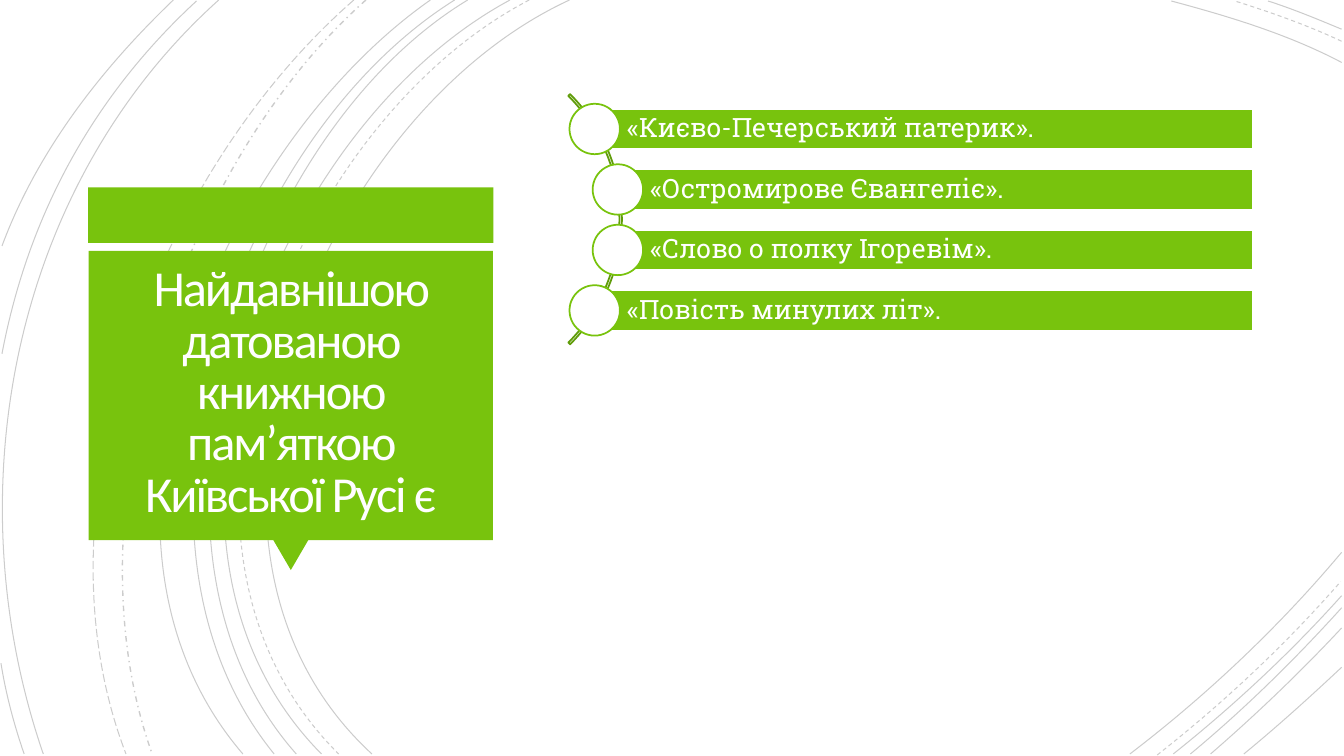
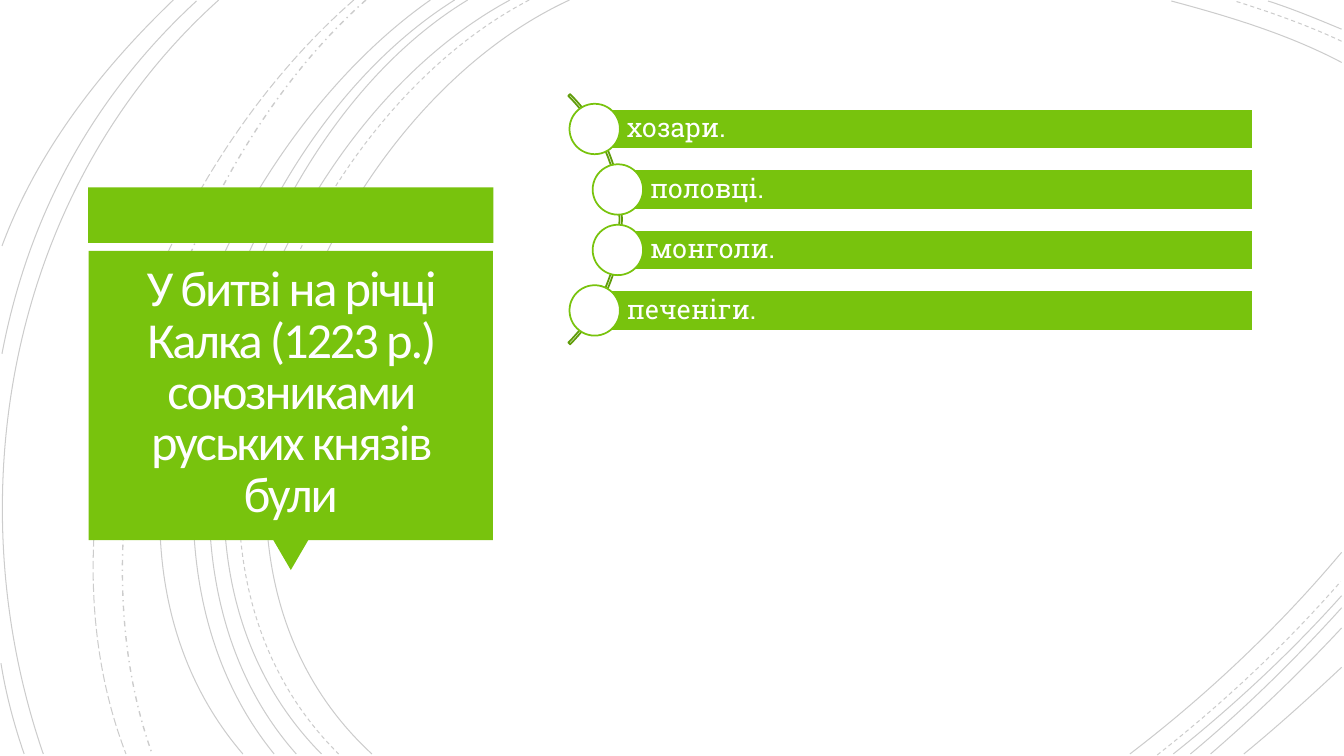
import dataclasses
import typing

import lxml.etree
import pptx
import pptx.dml.color
import pptx.enum.dml
import pptx.enum.shapes
import pptx.enum.text
import pptx.oxml.ns
import pptx.shapes.autoshape
import pptx.slide
import pptx.util

# The grid has square cells, 75 rows to the slide's height.
COLUMNS, ROWS = 133.33, 75
CELL = pptx.util.Inches(0.1)

COLORS = {
    "accent": "78C30D",
    "arc": "609C0A",
    "white": "FFFFFF",
    "title": "FFFEFF",
    "curve": "000000",
}
CURVE_OPACITY = 20
OUTLINE = 1.25

ANSWER_TOP, ANSWER_PITCH, ANSWER_HEIGHT = 10.8, 6, 4
ANSWER_RIGHT = 124.3
ANSWER_LEFTS = (59, 61.3, 61.3, 59)
MARKER_SIZE = 5

SHAPES = pptx.enum.shapes.MSO_SHAPE
DASHES = pptx.enum.dml.MSO_LINE
ALIGNMENTS = pptx.enum.text.PP_ALIGN


class Point(typing.NamedTuple):
    column: float
    row: float


class Area(typing.NamedTuple):
    column: float
    row: float
    columns: float
    rows: float


@dataclasses.dataclass(frozen=True)
class Curve:
    start: Point
    bend_from: Point
    bend_to: Point
    end: Point
    dash: DASHES = DASHES.SOLID
    weight: float = 0.75


@dataclasses.dataclass(frozen=True)
class TextStyle:
    font: str
    size: float
    color: str
    alignment: ALIGNMENTS
    line_spacing: float
    insets: tuple[float, float, float, float]
    tracking: float = 0


@dataclasses.dataclass(frozen=True)
class Question:
    title: str
    answers: tuple[str, str, str, str]


TITLE_STYLE = TextStyle("Calibri", 36, "title", ALIGNMENTS.CENTER, 0.85,
                        (1, 1, 1, 1), -1.5)
ANSWER_STYLE = TextStyle("Roboto Slab", 19, "white", ALIGNMENTS.LEFT, 0.9,
                         (3.2, 0.5, 0.5, 0.5))

CURVES = (
    Curve(Point(56.5, 0), Point(31.5, 11.5), Point(14.3, 54), Point(36.9, 74.8)),
    Curve(Point(133.1, 6.2), Point(127.8, 3.4), Point(121.8, 1.6), Point(116.2, 0.1)),
    Curve(Point(112.1, 74.8), Point(119.7, 69), Point(126.9, 62.2), Point(133.1, 54.8)),
    Curve(Point(52.5, 0), Point(28.5, 12.5), Point(12.3, 53.7), Point(33.6, 74.8),
          DASHES.DASH),
    Curve(Point(133.1, 4.1), Point(129.7, 2.5), Point(126, 1.2), Point(122.5, 0.1),
          DASHES.DASH),
    Curve(Point(114.8, 74.9), Point(121.3, 69.8), Point(127.5, 64), Point(133, 57.7),
          DASHES.DASH),
    Curve(Point(50.6, 0), Point(27, 12.7), Point(11, 53.7), Point(31.9, 74.8)),
    Curve(Point(133.1, 2.9), Point(130.7, 1.9), Point(128.3, 0.9), Point(125.8, 0.1)),
    Curve(Point(116.4, 74.8), Point(122.3, 70.1), Point(128, 64.8), Point(133.1, 59.1)),
    Curve(Point(46.4, 0), Point(24.4, 13.3), Point(11, 54.1), Point(29.4, 74.8)),
    Curve(Point(118.1, 74.8), Point(123.4, 70.4), Point(128.4, 65.5), Point(133.1, 60.3)),
    Curve(Point(45.1, 0), Point(23.1, 13.8), Point(9.7, 53.3), Point(27.2, 74.8)),
    Curve(Point(120.1, 74.8), Point(124.6, 70.9), Point(129, 66.7), Point(133.1, 62.3)),
    Curve(Point(42.7, 0), Point(21.7, 14.7), Point(5.3, 52.9), Point(24.1, 74.8)),
    Curve(Point(123.4, 74.8), Point(126.7, 72.1), Point(129.9, 69.2), Point(133.1, 66.2)),
    Curve(Point(36.3, 0), Point(17.6, 16.6), Point(6.5, 50.9), Point(15.1, 74.8),
          DASHES.DASH_DOT, 1),
    Curve(Point(35.1, 0), Point(15.7, 16.9), Point(2.9, 49.9), Point(12.5, 74.8),
          DASHES.LONG_DASH),
    Curve(Point(21.7, 0), Point(1.1, 18.5), Point(-4.6, 49), Point(4.3, 74.8)),
    Curve(Point(19.5, 0.1), Point(9.2, 9.6), Point(2.8, 21.4), Point(0.2, 35.1)),
    Curve(Point(0.1, 65.8), Point(0.6, 68.9), Point(1.4, 71.9), Point(2.4, 74.8)),
    Curve(Point(17.2, 0), Point(10, 6.9), Point(3.7, 15), Point(0.2, 24.4)),
)

QUESTIONS = (
    Question(
        "Найдавнішою датованою книжною пам’яткою Київської Русі є",
        ("«Києво-Печерський патерик».", "«Остромирове Євангеліє».",
         "«Слово о полку Ігоревім».", "«Повість минулих літ»."),
    ),
    Question(
        "У битві на річці Калка (1223 р.) союзниками руських князів були",
        ("хозари.", "половці.", "монголи.", "печеніги."),
    ),
)


def cells(count: float) -> pptx.util.Emu:
    return pptx.util.Emu(round(count * CELL))


def rgb(color: str) -> pptx.dml.color.RGBColor:
    return pptx.dml.color.RGBColor.from_string(COLORS[color])


def apply_format(target: typing.Any, values: dict[str, typing.Any]) -> None:
    for name, value in values.items():
        setattr(target, name, value)


def paint(shape: pptx.shapes.autoshape.Shape, fill: str | None,
          line: str | None = None, weight: float = OUTLINE) -> None:
    shape.shadow.inherit = False
    if fill:
        shape.fill.solid()
        shape.fill.fore_color.rgb = rgb(fill)
    else:
        shape.fill.background()
    if line:
        shape.line.color.rgb = rgb(line)
        shape.line.width = pptx.util.Pt(weight)
    else:
        shape.line.fill.background()


def add_figure(slide: pptx.slide.Slide, kind: SHAPES, area: Area, fill: str | None,
               line: str | None = None) -> pptx.shapes.autoshape.Shape:
    figure = slide.shapes.add_shape(kind, *map(cells, area))
    paint(figure, fill, line)
    return figure


def write(shape: pptx.shapes.autoshape.Shape, text: str, style: TextStyle) -> None:
    left, top, right, bottom = map(cells, style.insets)
    apply_format(shape.text_frame, {
        "word_wrap": True,
        "vertical_anchor": pptx.enum.text.MSO_ANCHOR.MIDDLE,
        "margin_left": left,
        "margin_top": top,
        "margin_right": right,
        "margin_bottom": bottom,
    })
    paragraph = shape.text_frame.paragraphs[0]
    apply_format(paragraph, {"alignment": style.alignment,
                             "line_spacing": style.line_spacing})
    run = paragraph.add_run()
    run.text = text
    apply_format(run.font, {"name": style.font, "size": pptx.util.Pt(style.size)})
    run.font.color.rgb = rgb(style.color)
    if style.tracking:
        run.font._element.set("spc", str(round(style.tracking * 100)))


def draw_curve(slide: pptx.slide.Slide, curve: Curve) -> None:
    """Draw a freeform whose three segments are merged into one cubic curve."""
    start, *bends = (tuple(map(cells, point)) for point in
                     (curve.start, curve.bend_from, curve.bend_to, curve.end))
    builder = slide.shapes.build_freeform(*start)
    builder.add_line_segments(bends, close=False)
    stroke = builder.convert_to_shape()
    outline = stroke._element.xpath(".//a:pathLst/a:path")[0]
    segments = outline.findall(pptx.oxml.ns.qn("a:lnTo"))
    cubic = lxml.etree.SubElement(outline, pptx.oxml.ns.qn("a:cubicBezTo"))
    for segment in segments:
        cubic.append(segment[0])
        outline.remove(segment)
    paint(stroke, None, "curve", curve.weight)
    stroke.line.dash_style = curve.dash
    color = stroke._element.xpath("./p:spPr/a:ln/a:solidFill/a:srgbClr")[0]
    lxml.etree.SubElement(color, pptx.oxml.ns.qn("a:alpha"),
                          val=str(CURVE_OPACITY * 1000))


def draw_title(slide: pptx.slide.Slide, title: str) -> None:
    """Draw the band and the speech panel with its pointer and text."""
    add_figure(slide, SHAPES.RECTANGLE, Area(8.75, 18.6, 40.2, 5.5), "accent")
    pointer = add_figure(slide, SHAPES.ISOSCELES_TRIANGLE,
                         Area(27.1, 53.55, 3.5, 3), "accent")
    pointer.rotation = 180
    add_figure(slide, SHAPES.RECTANGLE, Area(8.8, 24.9, 40.1, 28.7), "accent")
    heading = slide.shapes.add_textbox(*map(cells, Area(9.7, 25.6, 38.3, 27)))
    write(heading, title, TITLE_STYLE)


def draw_answers(slide: pptx.slide.Slide, answers: tuple[str, ...]) -> None:
    """Draw the arc, then a bar and a round marker for each answer."""
    arc = add_figure(slide, SHAPES.BLOCK_ARC, Area(26.6, 4.2, 35.1, 35.1), None, "arc")
    for index, value in enumerate((189, 27, 0.007)):
        arc.adjustments[index] = value
    for index, (left, answer) in enumerate(zip(ANSWER_LEFTS, answers)):
        top = ANSWER_TOP + index * ANSWER_PITCH
        bar = add_figure(slide, SHAPES.RECTANGLE,
                         Area(left, top, ANSWER_RIGHT - left, ANSWER_HEIGHT),
                         "accent", "white")
        write(bar, answer, ANSWER_STYLE)
        marker_top = top + (ANSWER_HEIGHT - MARKER_SIZE) / 2
        add_figure(slide, SHAPES.OVAL,
                   Area(left - MARKER_SIZE / 2, marker_top, MARKER_SIZE, MARKER_SIZE),
                   "white", "accent")


def main() -> None:
    deck = pptx.Presentation()
    apply_format(deck, {"slide_width": cells(COLUMNS), "slide_height": cells(ROWS)})
    blank = deck.slide_layouts[6]
    for question in QUESTIONS:
        slide = deck.slides.add_slide(blank)
        for curve in CURVES:
            draw_curve(slide, curve)
        draw_title(slide, question.title)
        draw_answers(slide, question.answers)
    deck.save("out.pptx")


if __name__ == "__main__":
    main()
